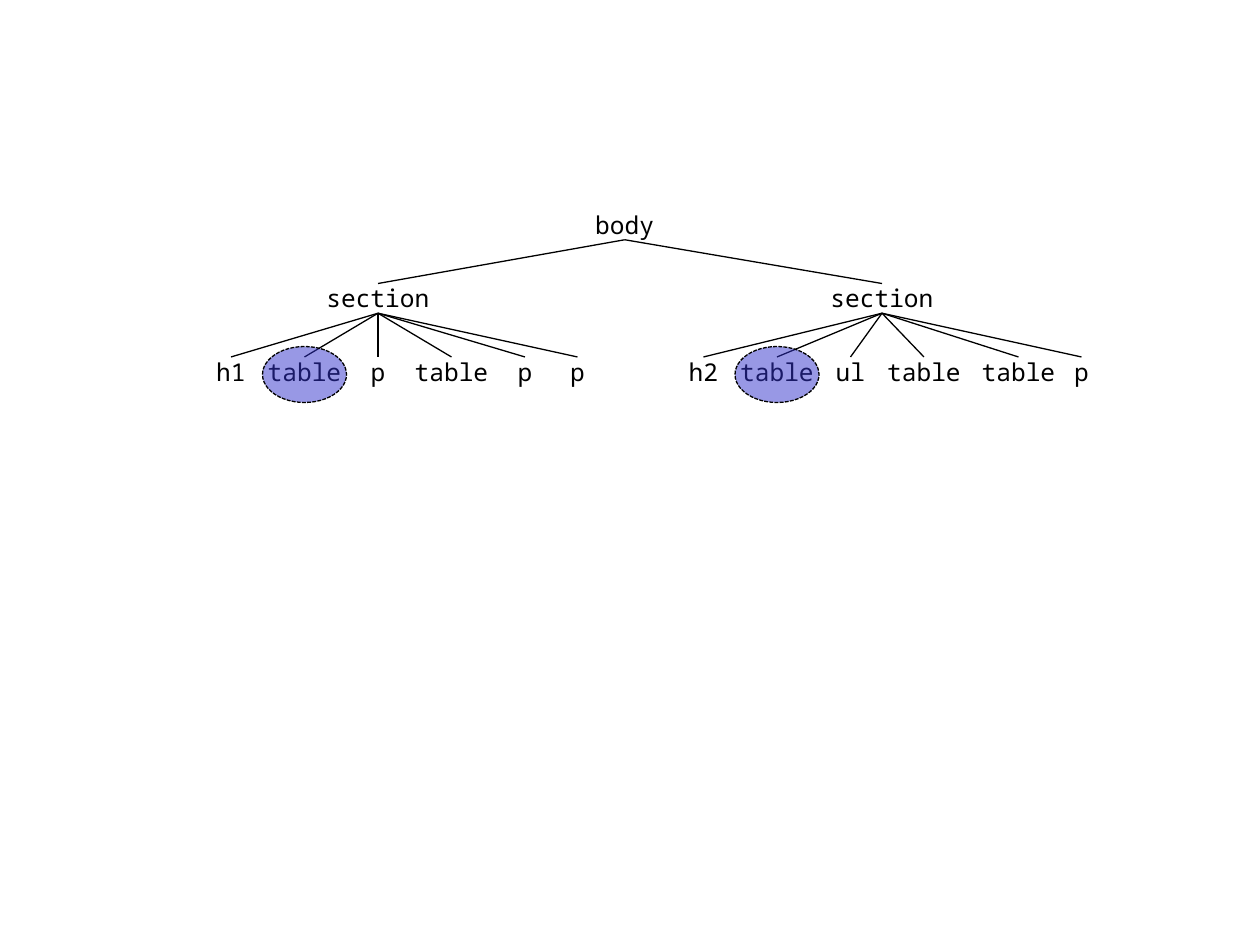
from lxml.etree import SubElement
from pptx import Presentation
from pptx.dml.color import RGBColor
from pptx.enum.dml import MSO_LINE
from pptx.enum.shapes import MSO_CONNECTOR, MSO_SHAPE
from pptx.enum.text import MSO_ANCHOR, MSO_AUTO_SIZE, PP_ALIGN
from pptx.oxml.ns import qn
from pptx.util import Pt

FONT = "Noto Sans Mono"
BLACK, HIGHLIGHT = "000000", "3333CC"
ROW_PITCH, LABEL_HEIGHT = 42, 17
LEAF_WIDTH, TABLE_WIDTH = 36, 48

# Per section: left edge, label width, label centre, and (tag, centre) of each
# child, with centres measured from the left edge
SECTIONS = [
    (114, 72, 102, [("h1", 18), ("table", 60), ("p", 102),
                    ("table", 144), ("p", 186), ("p", 216)]),
    (384, 60, 120, [("h2", 18), ("table", 60), ("ul", 102),
                    ("table", 144), ("table", 198), ("p", 234)]),
]


def color(hex_string):
    return RGBColor.from_string(hex_string)


def add_label(slide, text, center, top, width, size=14, ink=BLACK):
    box = slide.shapes.add_textbox(
        Pt(center - width / 2), Pt(top), Pt(width), Pt(LABEL_HEIGHT))
    frame = box.text_frame
    frame.margin_left = frame.margin_right = 0
    frame.margin_top = frame.margin_bottom = 0
    frame.word_wrap = True
    frame.auto_size = MSO_AUTO_SIZE.SHAPE_TO_FIT_TEXT
    frame.vertical_anchor = MSO_ANCHOR.TOP
    paragraph = frame.paragraphs[0]
    paragraph.alignment = PP_ALIGN.CENTER
    run = paragraph.add_run()
    run.text = text
    run.font.name = FONT
    run.font.size = Pt(size)
    run.font.color.rgb = color(ink)


def add_branch(slide, parent_center, child_center, child_top):
    parent_bottom = child_top - ROW_PITCH + LABEL_HEIGHT
    line = slide.shapes.add_connector(
        MSO_CONNECTOR.STRAIGHT, Pt(parent_center), Pt(parent_bottom),
        Pt(child_center), Pt(child_top))
    line.line.color.rgb = color(BLACK)
    line.line.width = Pt(0.75)
    SubElement(line._element.spPr, qn("a:effectLst"))


def add_highlight(slide, center, label_top, width=TABLE_WIDTH, height=32):
    ellipse = slide.shapes.add_shape(
        MSO_SHAPE.OVAL, Pt(center - width / 2), Pt(label_top - 6),
        Pt(width), Pt(height))
    ellipse.shadow.inherit = False
    ellipse.fill.solid()
    ellipse.fill.fore_color.rgb = color(HIGHLIGHT)
    fill = ellipse._element.spPr.find(qn("a:solidFill"))
    SubElement(fill[0], qn("a:alpha"), val="50000")
    ellipse.line.color.rgb = color(BLACK)
    ellipse.line.width = Pt(0.75)
    ellipse.line.dash_style = MSO_LINE.SQUARE_DOT


def add_section(slide, left, top, label_width, label_center, children):
    """Draw one section node with its children below it."""
    parent = left + label_center
    child_top = top + ROW_PITCH
    add_label(slide, "section", parent, top, label_width)
    for tag, offset in children:
        width = TABLE_WIDTH if tag == "table" else LEAF_WIDTH
        add_label(slide, tag, left + offset, child_top, width)
        add_branch(slide, parent, left + offset, child_top)
    # Mark the first table of the section
    first_table = dict(reversed(children))["table"]
    add_highlight(slide, left + first_table, child_top)


def add_tree(slide, center, top):
    """Draw the body node and the sections under it."""
    add_label(slide, "body", center, top, width=42)
    section_top = top + ROW_PITCH
    for left, label_width, label_center, children in SECTIONS:
        add_branch(slide, center, left + label_center, section_top)
        add_section(slide, left, section_top, label_width, label_center, children)


def main():
    presentation = Presentation()
    presentation.slide_width, presentation.slide_height = Pt(720), Pt(540)
    slide = presentation.slides.add_slide(presentation.slide_layouts[6])
    add_tree(slide, center=357, top=120)
    presentation.save("out.pptx")


if __name__ == "__main__":
    main()
